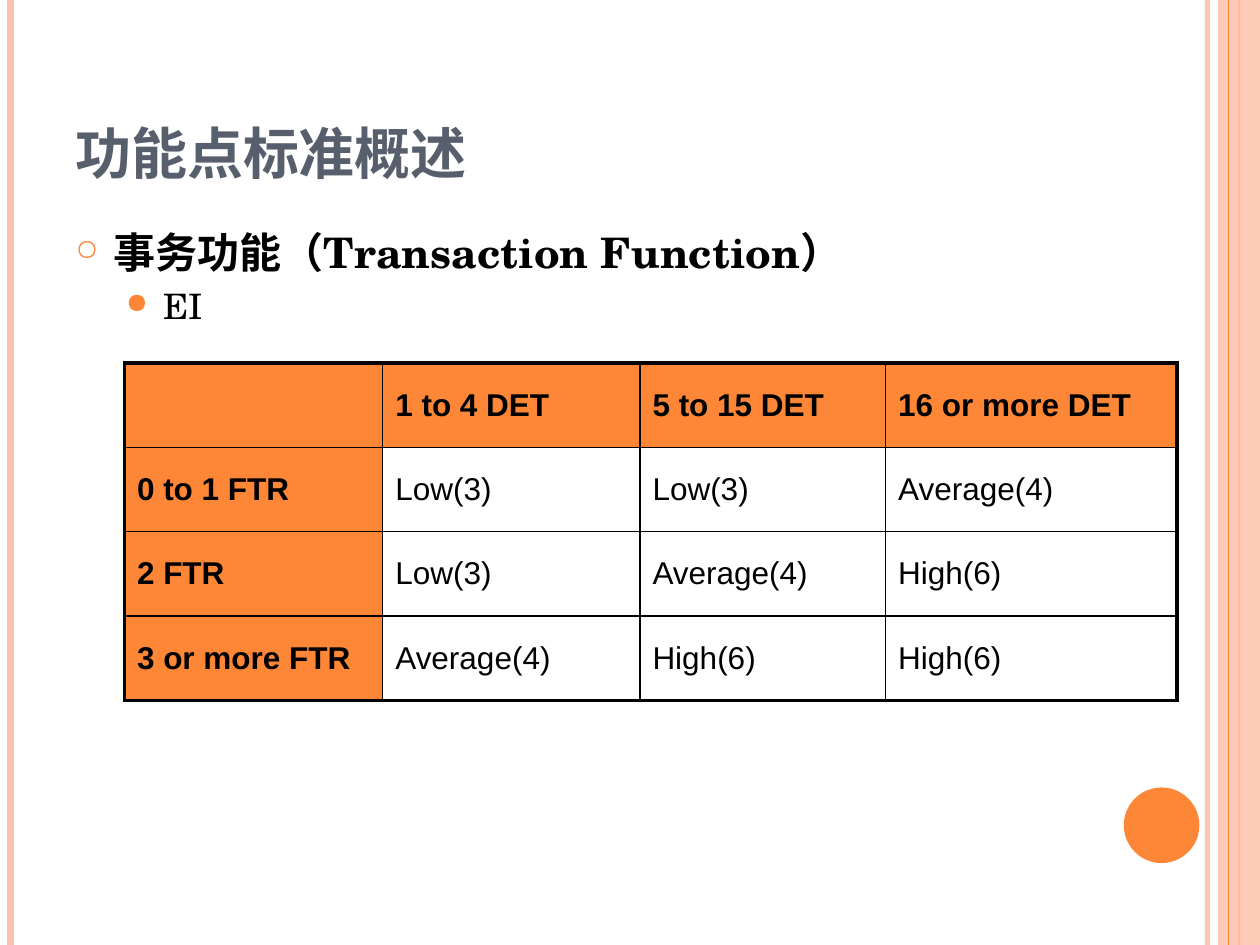
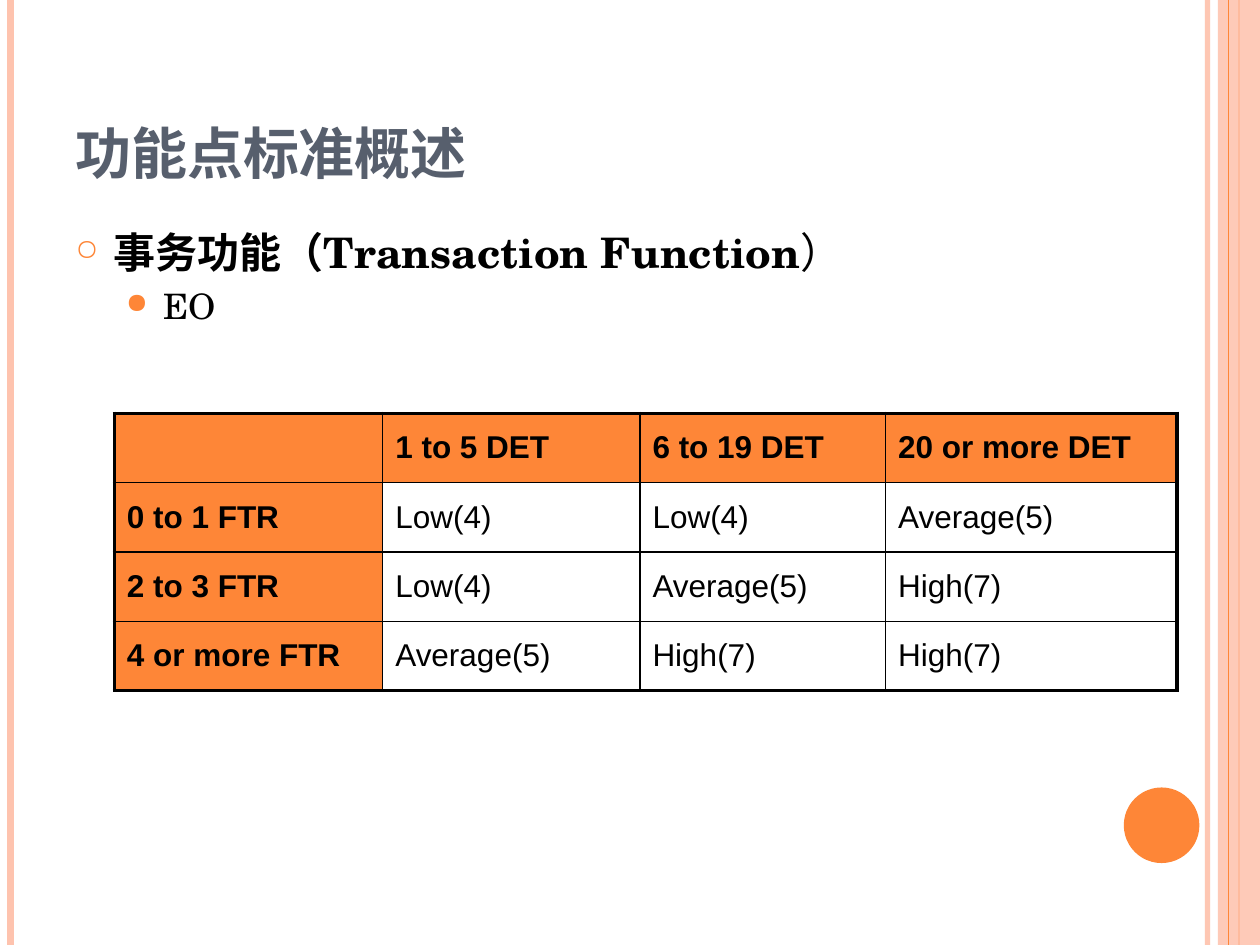
from lxml import etree
from pptx import Presentation
from pptx.dml.color import RGBColor
from pptx.enum.shapes import MSO_CONNECTOR, MSO_SHAPE
from pptx.enum.text import MSO_ANCHOR, MSO_AUTO_SIZE, PP_ALIGN
from pptx.oxml.ns import qn
from pptx.util import Pt

LINE = MSO_CONNECTOR.STRAIGHT
RECT, OVAL = MSO_SHAPE.RECTANGLE, MSO_SHAPE.OVAL
LEFT, MIDDLE, BOTTOM = PP_ALIGN.LEFT, MSO_ANCHOR.MIDDLE, MSO_ANCHOR.BOTTOM
NO_FIT = MSO_AUTO_SIZE.NONE

W, H = 720, 540
MARGIN, TEXT_W = 36, 588
TABLE_RIGHT = 672.5
DET_COLS = [147, 140.4, 166.4]
THIN, THICK = 1, 2.25
HEAD_FONT, CELL_FONT = "TeX Gyre Schola", "Arial"
COLORS = {"orange": "FE8637", "peach": "FEC3AE", "slate": "575F6D", "black": "000000"}

TITLE = "功能点标准概述"
HEADING = "事务功能（Transaction Function"
CLOSING = "）"
SLIDES = [
    {
        "item": "EI", "closing_bold": True,
        "top": 207.4, "first_col": 147.6, "row_h": 48.2,
        "rows": [
            ["", "1 to 4 DET", "5 to 15 DET", "16 or more DET"],
            ["0 to 1 FTR", "Low(3)", "Low(3)", "Average(4)"],
            ["2 FTR", "Low(3)", "Average(4)", "High(6)"],
            ["3 or more FTR", "Average(4)", "High(6)", "High(6)"],
        ],
    },
    {
        "item": "EO", "closing_bold": False,
        "top": 236.2, "first_col": 153.4, "row_h": 39.6,
        "rows": [
            ["", "1 to 5 DET", "6 to 19 DET", "20 or more DET"],
            ["0 to 1 FTR", "Low(4)", "Low(4)", "Average(5)"],
            ["2 to 3 FTR", "Low(4)", "Average(5)", "High(7)"],
            ["4 or more FTR", "Average(5)", "High(7)", "High(7)"],
        ],
    },
]


def rgb(name):
    return RGBColor.from_string(COLORS[name])


def box(x, y, w, h):
    return [Pt(v) for v in (x, y, w, h)]


def set_alpha(sp, percent):
    clr = next(sp._element.iter(qn("a:srgbClr")))
    etree.SubElement(clr, qn("a:alpha"), val=str(percent * 1000))


def add_run(p, text, color="black", **fmt):
    r = p.add_run()
    r.text = text
    for name, value in fmt.items():
        setattr(r.font, name, value)
    r.font.color.rgb = rgb(color)
    return r


def add_rule(slide, x, color, width, alpha=100):
    sp = slide.shapes.add_connector(LINE, Pt(x), 0, Pt(x), Pt(H))
    sp.line.color.rgb = rgb(color)
    sp.line.width = Pt(width)
    etree.SubElement(sp._element.spPr, qn("a:effectLst"))
    if alpha < 100:
        set_alpha(sp, alpha)


def add_block(slide, kind, bounds, color):
    sp = slide.shapes.add_shape(kind, *box(*bounds))
    sp.shadow.inherit = False
    sp.fill.solid()
    sp.fill.fore_color.rgb = rgb(color)
    sp.line.fill.background()
    return sp


def add_frame(slide):
    add_rule(slide, 690, "peach", 3, 93)
    add_rule(slide, 6, "peach", 4.5)
    add_rule(slide, 708, "orange", 1.5)
    set_alpha(add_block(slide, RECT, (696, 0, W - 696, H), "peach"), 87)
    add_rule(slide, 702, "orange", 0.75)
    add_block(slide, OVAL, (642.2, 450, 43.2, 43.2), "orange")


def set_title(slide):
    sp = slide.shapes.title
    sp.left, sp.top, sp.width, sp.height = box(MARGIN, 21.6, TEXT_W, 90)
    tf = sp.text_frame
    for name, value in {"word_wrap": True, "auto_size": NO_FIT,
                        "vertical_anchor": BOTTOM}.items():
        setattr(tf, name, value)
    p = tf.paragraphs[0]
    p.alignment = LEFT
    r = add_run(p, TITLE, "slate", name=HEAD_FONT, size=Pt(40), bold=True)
    r.font._element.set("cap", "small")


def set_bullet(p, char, size, indent, before):
    p.space_before = Pt(before)
    pPr = p._p.get_or_add_pPr()
    pPr.set("marL", str(Pt(indent)))
    pPr.set("indent", str(Pt(-21.6)))
    clr = etree.SubElement(pPr, qn("a:buClr"))
    etree.SubElement(clr, qn("a:srgbClr"), val=COLORS["orange"])
    etree.SubElement(pPr, qn("a:buSzPct"), val=str(size * 1000))
    etree.SubElement(pPr, qn("a:buChar"), char=char)


def add_body(slide, item, closing_bold):
    tf = slide.shapes.add_textbox(*box(MARGIN, 126, TEXT_W, 384)).text_frame
    tf.word_wrap = True
    p = tf.paragraphs[0]
    set_bullet(p, "○", 70, 21.6, 6)
    for text, bold in ((HEADING, True), (CLOSING, closing_bold)):
        add_run(p, text, name=HEAD_FONT, size=Pt(24), bold=bold)
    p = tf.add_paragraph()
    p.level = 1
    set_bullet(p, "●", 80, 50.4, 4)
    add_run(p, item, name=HEAD_FONT, size=Pt(20), bold=False)


def set_borders(cell, outer):
    tcPr = cell._tc.get_or_add_tcPr()
    for side in "LRTB":
        width = THICK if side in outer else THIN
        ln = etree.SubElement(tcPr, qn("a:ln" + side), w=str(Pt(width)))
        fill = etree.SubElement(ln, qn("a:solidFill"))
        etree.SubElement(fill, qn("a:srgbClr"), val=COLORS["black"])


def fill_cell(cell, text, header, outer):
    set_borders(cell, outer)
    if header:
        cell.fill.solid()
        cell.fill.fore_color.rgb = rgb("orange")
    else:
        cell.fill.background()
    cell.vertical_anchor = MIDDLE
    if text:
        p = cell.text_frame.paragraphs[0]
        p.space_before = Pt(3.6)
        add_run(p, text, name=CELL_FONT, size=Pt(18), bold=header)


def add_matrix(slide, rows, top, first_col, row_h):
    widths = [first_col] + DET_COLS
    total = sum(widths)
    bounds = box(TABLE_RIGHT - total, top, total, row_h * len(rows))
    table = slide.shapes.add_table(len(rows), len(widths), *bounds).table
    table.first_row = table.horz_banding = False
    for col, width in zip(table.columns, widths):
        col.width = Pt(width)
    last_row, last_col = len(rows) - 1, len(widths) - 1
    for i, row in enumerate(rows):
        table.rows[i].height = Pt(row_h)
        for j, text in enumerate(row):
            edges = {"L": j == 0, "R": j == last_col, "T": i == 0, "B": i == last_row}
            outer = [side for side, on_edge in edges.items() if on_edge]
            fill_cell(table.cell(i, j), text, i == 0 or j == 0, outer)


def main():
    prs = Presentation()
    prs.slide_width, prs.slide_height = Pt(W), Pt(H)
    for data in SLIDES:
        slide = prs.slides.add_slide(prs.slide_layouts[5])
        add_frame(slide)
        set_title(slide)
        add_body(slide, data["item"], data["closing_bold"])
        add_matrix(slide, data["rows"], data["top"], data["first_col"], data["row_h"])
    prs.save("out.pptx")


main()
